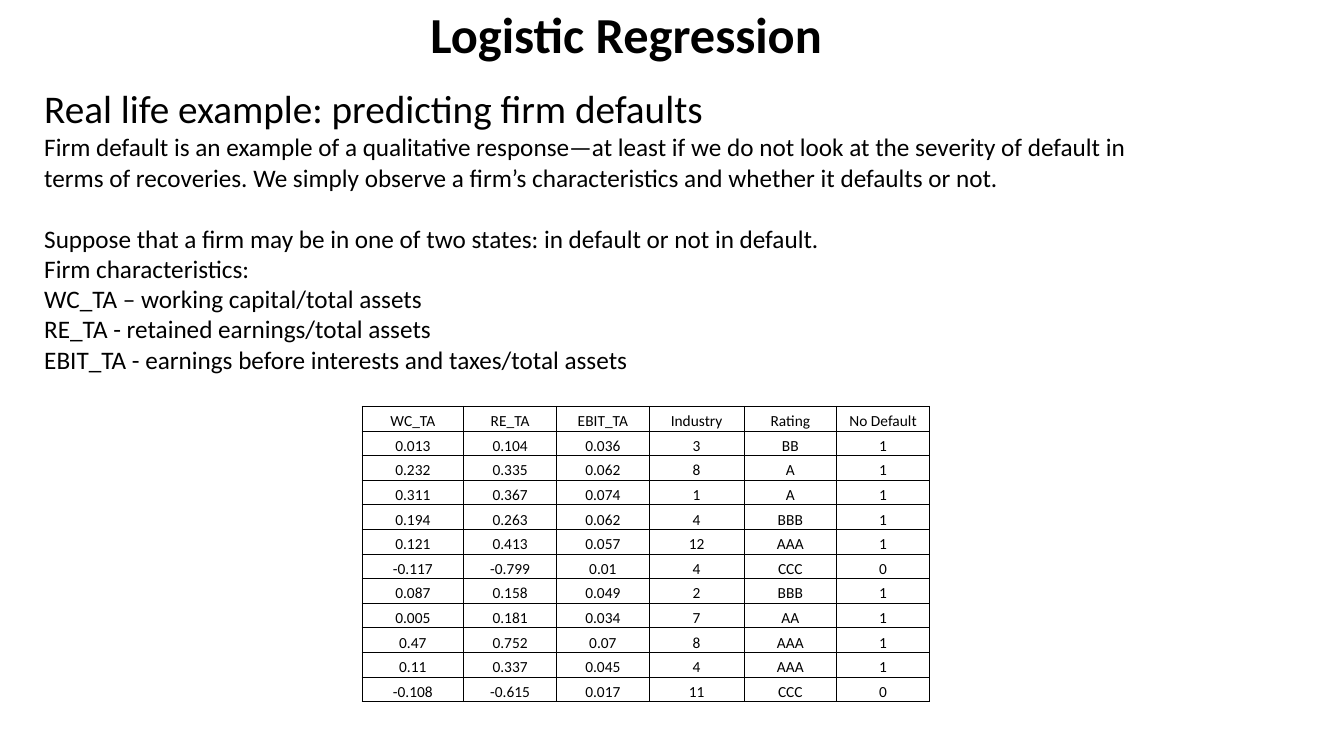
from lxml import etree
from pptx import Presentation
from pptx.dml.color import RGBColor
from pptx.enum.text import MSO_ANCHOR, PP_ALIGN
from pptx.oxml.ns import qn
from pptx.util import Inches, Pt

BOTTOM = MSO_ANCHOR.BOTTOM
CENTER = PP_ALIGN.CENTER
BLACK = RGBColor(0x00, 0x00, 0x00)
FONT_NAME = "Calibri"
BORDER_WIDTH = Pt(0.5)

HEADING = "Real life example: predicting firm defaults"
INTRODUCTION = (
    "Firm default is an example of a qualitative response—at least if we do not "
    "look at the severity of default in terms of recoveries. We simply observe a "
    "firm’s characteristics and whether it defaults or not."
)
CHARACTERISTICS = [
    "Suppose that a firm may be in one of two states: in default or not in default.",
    "Firm characteristics:",
    "WC_TA – working capital/total assets",
    "RE_TA - retained earnings/total assets",
    "EBIT_TA - earnings before interests and taxes/total assets",
]

COLUMN_WIDTHS = [1.01, 0.92, 0.92, 0.94, 0.92, 0.92]
FIRMS = [
    ["WC_TA", "RE_TA", "EBIT_TA", "Industry", "Rating", "No Default"],
    ["0.013", "0.104", "0.036", "3", "BB", "1"],
    ["0.232", "0.335", "0.062", "8", "A", "1"],
    ["0.311", "0.367", "0.074", "1", "A", "1"],
    ["0.194", "0.263", "0.062", "4", "BBB", "1"],
    ["0.121", "0.413", "0.057", "12", "AAA", "1"],
    ["-0.117", "-0.799", "0.01", "4", "CCC", "0"],
    ["0.087", "0.158", "0.049", "2", "BBB", "1"],
    ["0.005", "0.181", "0.034", "7", "AA", "1"],
    ["0.47", "0.752", "0.07", "8", "AAA", "1"],
    ["0.11", "0.337", "0.045", "4", "AAA", "1"],
    ["-0.108", "-0.615", "0.017", "11", "CCC", "0"],
]


def style_paragraph(paragraph, size, bold=False):
    font = paragraph.font
    font.name = FONT_NAME
    font.size = Pt(size)
    font.bold = bold
    font.color.rgb = BLACK


def add_title(slide, left, top, width, height):
    text_box = slide.shapes.add_textbox(left, top, width, height)
    text_box.text_frame.word_wrap = False
    paragraph = text_box.text_frame.paragraphs[0]
    paragraph.text = "Logistic Regression"
    style_paragraph(paragraph, 36, bold=True)


def add_body(slide, left, top, width, height):
    text_frame = slide.shapes.add_textbox(left, top, width, height).text_frame
    text_frame.word_wrap = True
    text_frame.text = "\n".join([HEADING, INTRODUCTION, *CHARACTERISTICS])
    heading, *details = text_frame.paragraphs
    style_paragraph(heading, 28)
    for paragraph in details:
        style_paragraph(paragraph, 18)
    details[1].space_before = Pt(22)


def add_borders(cell):
    properties = cell._tc.get_or_add_tcPr()
    for side in ("a:lnL", "a:lnR", "a:lnT", "a:lnB"):
        line = etree.SubElement(properties, qn(side), w=str(BORDER_WIDTH))
        fill = etree.SubElement(line, qn("a:solidFill"))
        etree.SubElement(fill, qn("a:srgbClr"), val=str(BLACK))


def fill_cell(cell, text):
    cell.margin_left = cell.margin_right = cell.margin_top = cell.margin_bottom = 0
    cell.vertical_anchor = BOTTOM
    add_borders(cell)
    cell.fill.background()
    paragraph = cell.text_frame.paragraphs[0]
    paragraph.text = text
    paragraph.alignment = CENTER
    style_paragraph(paragraph, 11)


def add_firm_table(slide, left, top, width, height):
    table = slide.shapes.add_table(
        len(FIRMS), len(COLUMN_WIDTHS), left, top, width, height
    ).table
    table.first_row = False
    table.horz_banding = False
    for column, column_width in zip(table.columns, COLUMN_WIDTHS):
        column.width = Inches(column_width)
    for row, firm in zip(table.rows, FIRMS):
        for cell, text in zip(row.cells, firm):
            fill_cell(cell, text)


def main():
    presentation = Presentation()
    presentation.slide_width = Inches(13.33)
    presentation.slide_height = Inches(7.5)
    slide = presentation.slides.add_slide(presentation.slide_layouts[6])
    add_title(slide, Inches(4.17), Inches(-0.02), Inches(4.14), Inches(0.71))
    add_body(slide, Inches(0.34), Inches(0.79), Inches(11.01), Inches(4.44))
    add_firm_table(
        slide, Inches(3.59), Inches(4.03), Inches(sum(COLUMN_WIDTHS)), Inches(2.93)
    )
    presentation.save("out.pptx")


if __name__ == "__main__":
    main()
